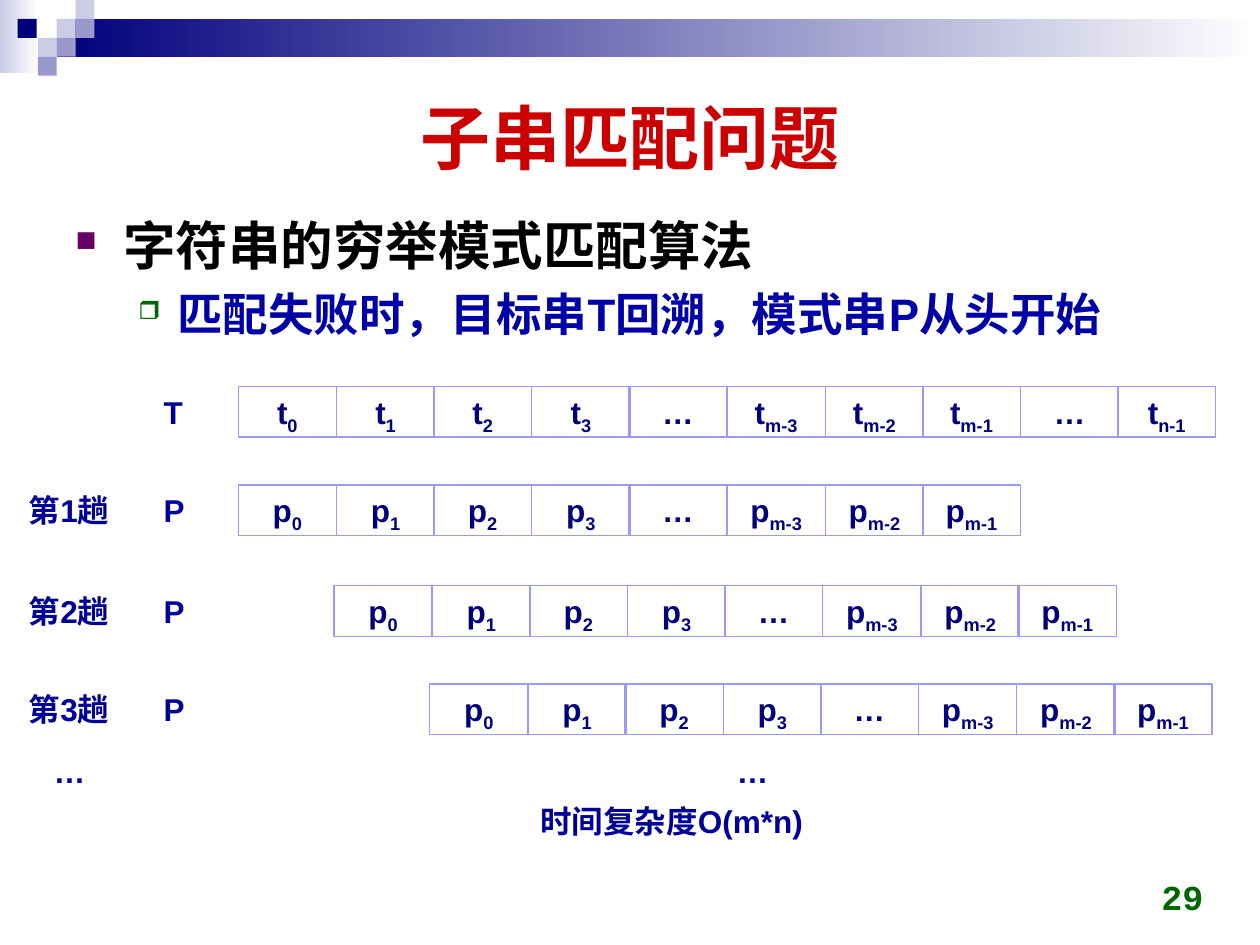
from dataclasses import dataclass

from lxml.etree import SubElement
from pptx import Presentation
from pptx.dml.color import RGBColor as RGB
from pptx.enum.shapes import MSO_SHAPE as SHAPE
from pptx.enum.text import MSO_ANCHOR as ANCHOR, PP_ALIGN as ALIGN
from pptx.oxml.ns import qn
from pptx.util import Pt

PX = 9144


@dataclass(frozen=True)
class Theme:
    font: str = "Arial"
    number_font: str = "Courier New"
    navy: str = "00007D"
    pale: str = "CCCCE6"
    mid: str = "9999CC"
    white: str = "FFFFFF"
    title: str = "CC0000"
    heading: str = "000000"
    detail: str = "0000A8"
    label: str = "000099"
    cell_line: str = "9999FF"
    square_bullet: str = "660066"
    green: str = "006600"
    title_size: int = 40
    heading_size: int = 30
    detail_size: int = 26
    number_size: int = 20
    label_size: int = 18


theme = Theme()


def set_font(paragraph, size, color, name=theme.font):
    font = paragraph.font
    font.name, font.size, font.bold = name, Pt(size), True
    font.color.rgb = RGB.from_string(color)


def add_text(box, text, size, color, name=theme.font):
    shape = slide.shapes.add_textbox(*[value * PX for value in box])
    shape.text_frame.word_wrap = True
    paragraph = shape.text_frame.paragraphs[0]
    paragraph.text = text
    set_font(paragraph, size, color, name)
    return shape


presentation = Presentation()
presentation.slide_width, presentation.slide_height = 1000 * PX, 750 * PX
slide = presentation.slides.add_slide(presentation.slide_layouts[5])

decorations = [
    (0, 0, 31, 58, (theme.pale, theme.white)),
    (45, 15, 955, 30, (theme.navy, theme.white)),
    (45, 15, 15, 15, (theme.pale,)),
    (60, 0, 15, 15, (theme.pale,)),
    (60, 15, 15, 15, (theme.mid,)),
    (30, 30, 15, 15, (theme.pale,)),
    (14, 15, 15, 15, (theme.navy,)),
    (45, 30, 15, 15, (theme.mid,)),
    (30, 45, 15, 15, (theme.mid,)),
]
for *box, colors in decorations:
    shape = slide.shapes.add_shape(SHAPE.RECTANGLE, *[value * PX for value in box])
    shape.shadow.inherit = False
    shape.line.fill.background()
    if len(colors) == 1:
        shape.fill.solid()
        shape.fill.fore_color.rgb = RGB.from_string(colors[0])
    else:
        shape.fill.gradient()
        shape.fill.gradient_angle = 0
        for stop, color in zip(shape.fill.gradient_stops, colors):
            stop.color.rgb = RGB.from_string(color)

title = slide.shapes.title
title.left, title.top, title.width, title.height = [value * PX for value in (50, 50, 900, 116)]
title.text_frame.text = "子串匹配问题"
title.text_frame.vertical_anchor = ANCHOR.MIDDLE
title.text_frame.paragraphs[0].alignment = ALIGN.CENTER
set_font(title.text_frame.paragraphs[0], theme.title_size, theme.title)

body = add_text((50, 162, 900, 130), "字符串的穷举模式匹配算法", theme.heading_size, theme.heading)
detail = body.text_frame.add_paragraph()
detail.text = "匹配失败时，目标串T回溯，模式串P从头开始"
detail.level = 1
set_font(detail, theme.detail_size, theme.detail)
bullets = [
    (38, -38, theme.square_bullet, "■", theme.heading_size),
    (81, -31, theme.green, "❒", theme.detail_size),
]
for paragraph, (margin, indent, color, symbol, size) in zip(body.text_frame.paragraphs, bullets):
    paragraph.line_spacing = 1.05
    paragraph.space_before = Pt(size * 0.15)
    properties = paragraph._p.get_or_add_pPr()
    properties.set("marL", str(margin * PX))
    properties.set("indent", str(indent * PX))
    bullet_color = SubElement(properties, qn("a:buClr"))
    SubElement(bullet_color, qn("a:srgbClr"), val=color)
    SubElement(properties, qn("a:buSzPct"), val="55000")
    SubElement(properties, qn("a:buChar"), char=symbol)
    properties.append(properties.find(qn("a:defRPr")))

pattern = ["0", "1", "2", "3", "…", "m-3", "m-2", "m-1"]
rows = [
    ("T", "", 189, 307, pattern + ["…", "n-1"]),
    ("P", "第1趟", 189, 385, pattern),
    ("P", "第2趟", 265, 465, pattern),
    ("P", "第3趟", 341, 543, pattern),
]
for letter, step, left, top, subscripts in rows:
    add_text((120, top, 37, 40), letter, theme.label_size, theme.label)
    if step:
        add_text((13, top, 85, 40), step, theme.label_size, theme.label)
    for index, subscript in enumerate(subscripts):
        box = (left + round(index * 77.6), top, 78, 40)
        cell = slide.shapes.add_shape(SHAPE.RECTANGLE, *[value * PX for value in box])
        cell.shadow.inherit = False
        cell.fill.background()
        cell.line.color.rgb = RGB.from_string(theme.cell_line)
        cell.line.width = Pt(0.75)
        cell.text_frame.word_wrap = False
        cell.text_frame.vertical_anchor = ANCHOR.TOP
        paragraph = cell.text_frame.paragraphs[0]
        paragraph.alignment = ALIGN.CENTER
        set_font(paragraph, theme.label_size, theme.navy)
        if subscript == "…":
            paragraph.add_run().text = subscript
        else:
            paragraph.add_run().text = letter.lower()
            run = paragraph.add_run()
            run.text = subscript
            run._r.get_or_add_rPr().set("baseline", "-25000")

notes = [
    (33, 592, 45, "…"),
    (575, 592, 45, "…"),
    (419, 632, 231, "时间复杂度O(m*n)"),
]
for left, top, width, text in notes:
    add_text((left, top, width, 40), text, theme.label_size, theme.label)

number = add_text((732, 683, 233, 50), "29", theme.number_size, theme.green, theme.number_font)
number.text_frame.vertical_anchor = ANCHOR.BOTTOM
number.text_frame.paragraphs[0].alignment = ALIGN.RIGHT

presentation.save("out.pptx")
